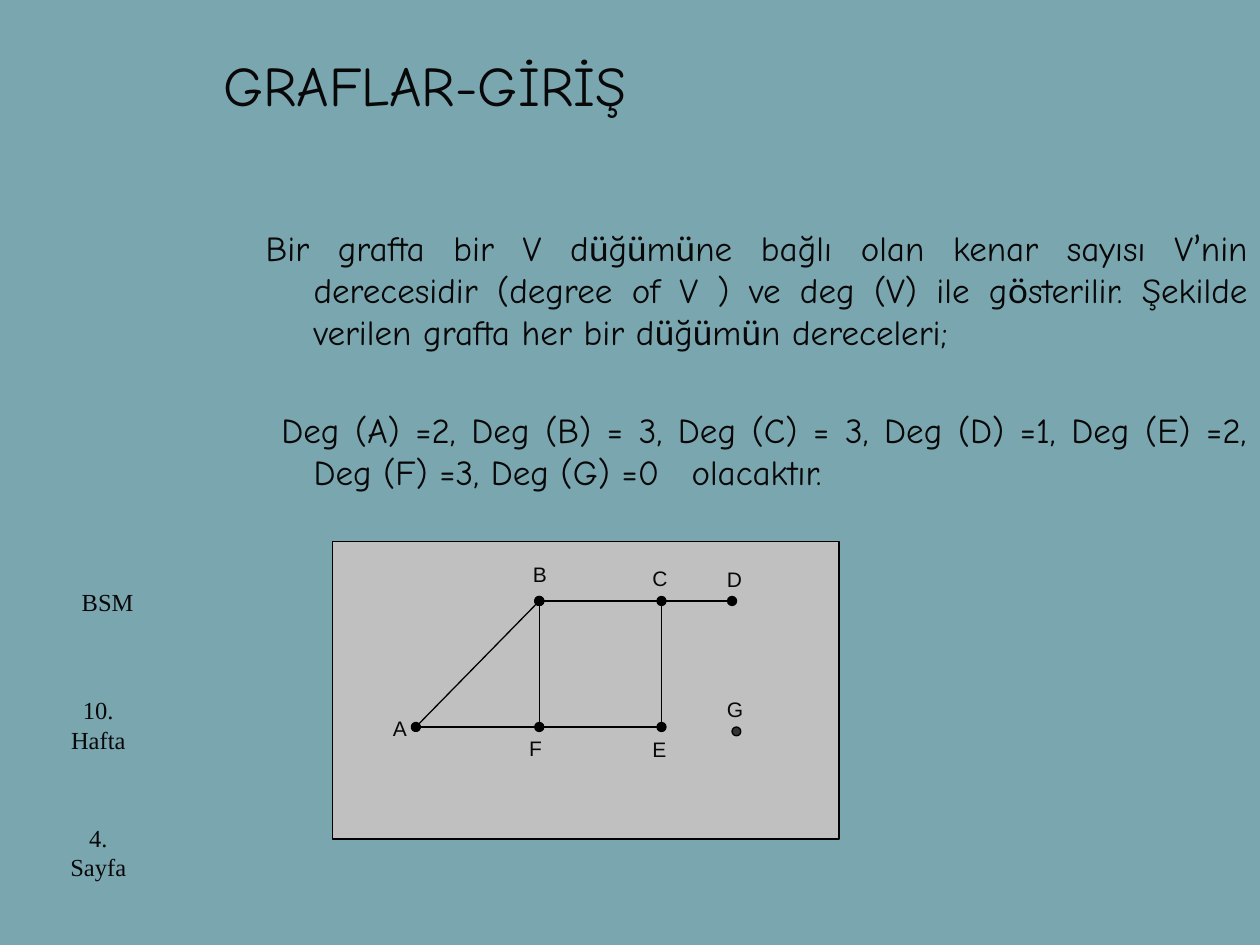
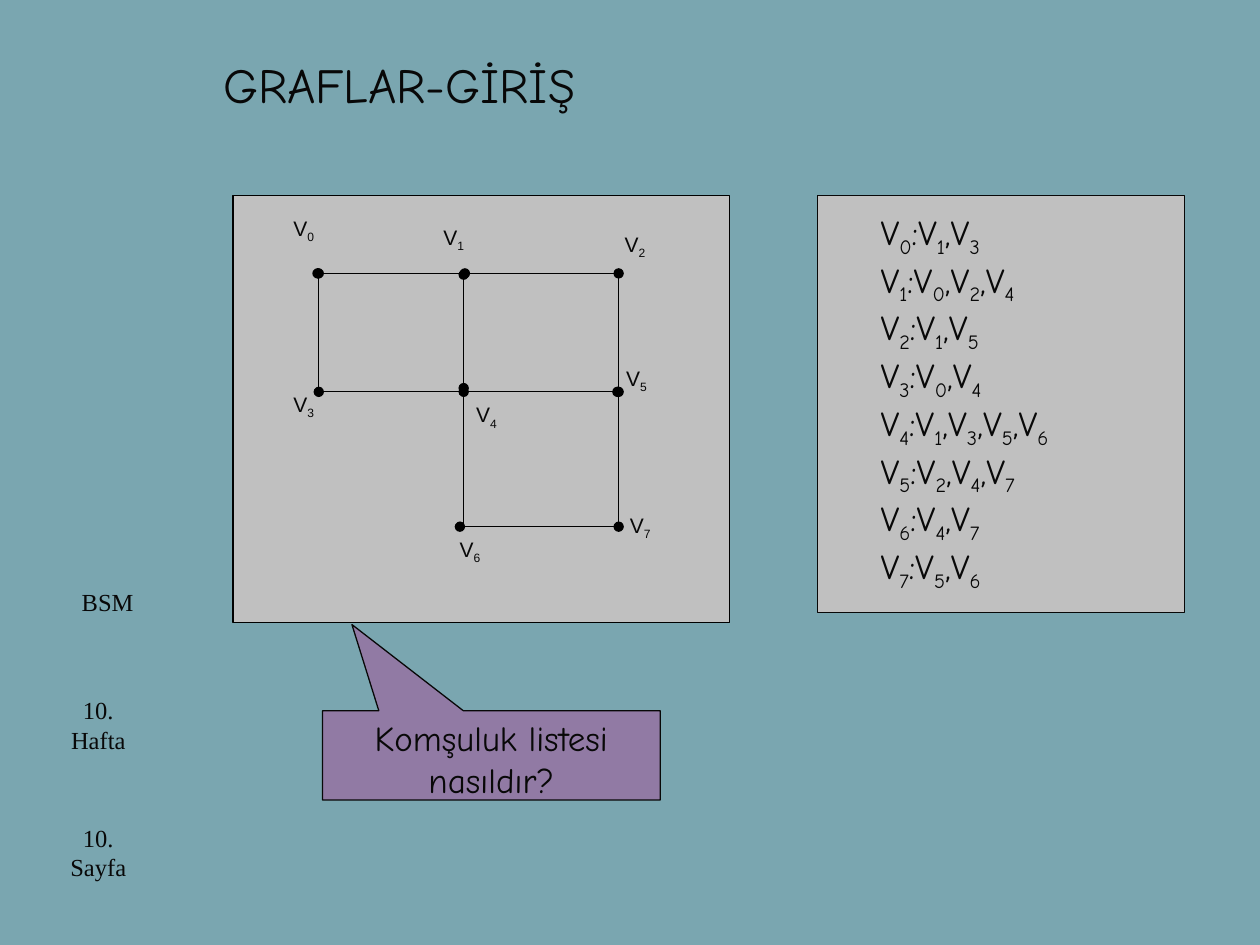
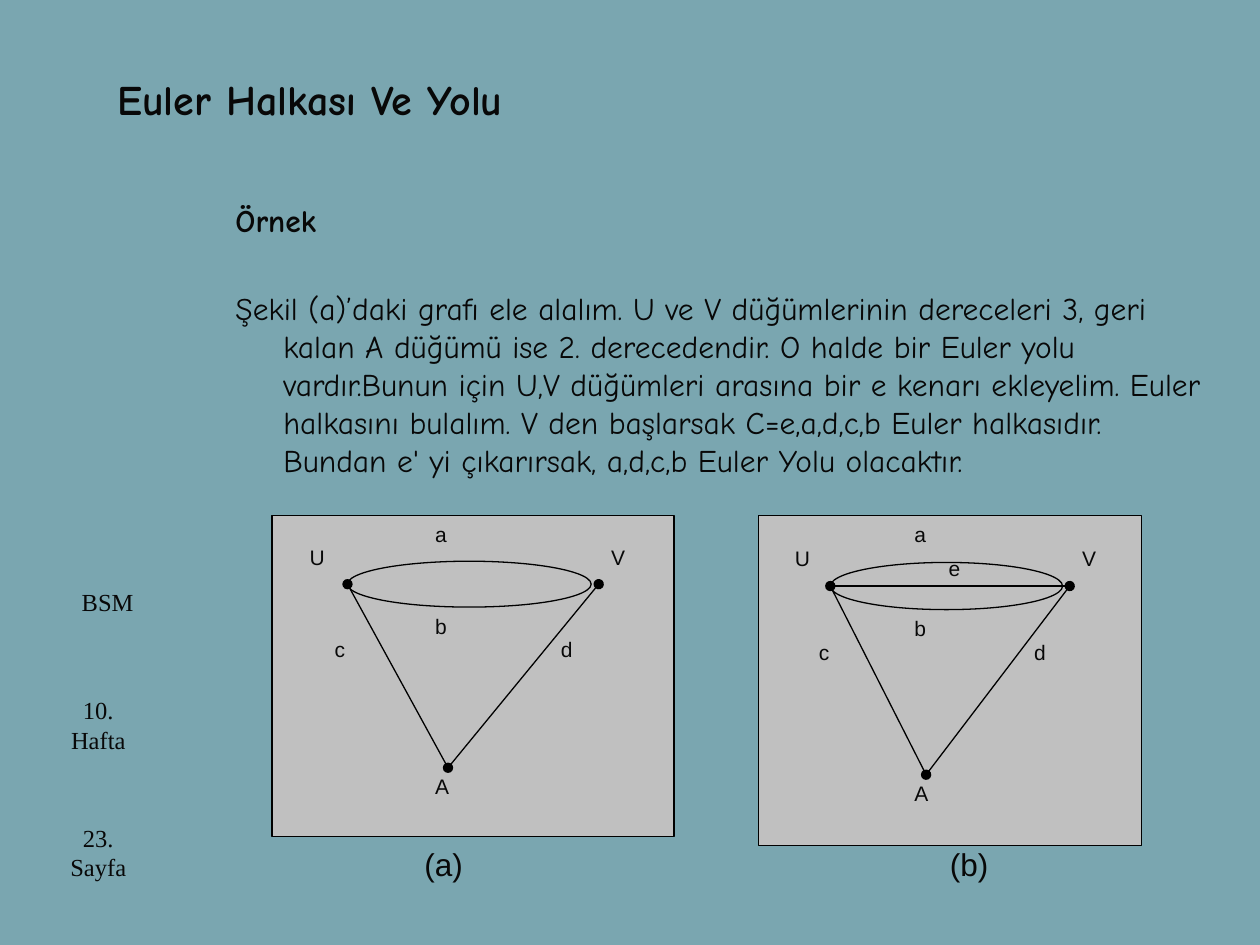
from itertools import groupby
from lxml import etree
from pptx import Presentation
from pptx import util as u
from pptx.dml.color import RGBColor
from pptx.enum import shapes as es, text as et
from pptx.oxml.ns import qn

# Shared style
BACK, INK, BLACK, GREY, DARK, PURPLE = (
    "7AA6B0", "080808", "000000", "C0C0C0", "333333", "917AA4")
COMIC, LATO, ARIAL, TIMES = "Comic Neue", "Lato", "Arial", "Times New Roman"
LEFT, MID, JUST = et.PP_ALIGN.LEFT, et.PP_ALIGN.CENTER, et.PP_ALIGN.JUSTIFY
RECT, OVAL = es.MSO_SHAPE.RECTANGLE, es.MSO_SHAPE.OVAL
WEEK = "10. Hafta"
HEAD = (1.67, 0.08, 8.07, 1.17)

# Slide 1: degrees
DEGREES = [
    "Bir grafta bir V düğümüne bağlı olan kenar sayısı V’nin derecesidir "
    "(degree of V ) ve deg (V) ile gösterilir. Şekilde verilen grafta her bir "
    "düğümün dereceleri;",
    " Deg (A) =2, Deg (B) = 3, Deg (C) = 3, Deg (D) =1, Deg (E) =2, "
    "Deg (F) =3, Deg (G) =0\tolacaktır."]
NODES = {"A": (3.3, 5.77), "B": (4.28, 4.77), "C": (5.25, 4.77),
         "D": (5.81, 4.77), "E": (5.25, 5.77), "F": (4.28, 5.77)}
EDGES = [("BC", "head tail"), ("CD", "tail"), ("CE", ""), ("EF", "head tail"),
         ("FB", ""), ("BA", "head tail"), ("AF", "")]
NAMES = {"A": (3.02, 5.63), "B": (4.13, 4.41), "C": (5.08, 4.44),
         "D": (5.67, 4.45), "E": (5.08, 5.8), "F": (4.1, 5.79),
         "G": (5.67, 5.48)}

# Slide 2: neighbour lists
LINKS = [
    ((2.52, 2.17), (3.69, 2.17), "head"), ((3.69, 2.17), (4.91, 2.17), "head"),
    ((4.91, 2.17), (4.91, 3.11), "head"), ((4.91, 3.11), (4.91, 4.18), "head"),
    ((3.68, 2.18), (3.68, 3.14), "head"), ((4.9, 3.11), (3.68, 3.11), "head"),
    ((3.68, 3.08), (3.68, 4.18), "head"),
    ((3.65, 4.18), (4.91, 4.18), "head tail"),
    ((2.53, 2.17), (2.53, 3.14), "head"),
    ((3.68, 3.11), (2.53, 3.11), "head tail")]
TAGS = [(2.23, 1.66), (3.42, 1.73), (4.86, 1.79), (2.23, 3.06),
        (3.68, 3.14), (4.87, 2.85), (3.55, 4.21), (4.9, 4.02)]
NEAR = ["13", "024", "15", "04", "1356", "247", "47", "56"]

# Slide 3: Euler circuit; figures sit on an 8 by 7 grid
EULER = ("Şekil (a)’daki grafı ele alalım. U ve V düğümlerinin dereceleri 3, "
         "geri kalan A düğümü ise 2. derecedendir. O halde bir Euler yolu "
         "vardır.Bunun için U,V düğümleri arasına bir e kenarı ekleyelim. "
         "Euler halkasını bulalım. V den başlarsak C=e,a,d,c,b Euler "
         "halkasıdır. Bundan e' yi çıkarırsak, a,d,c,b Euler Yolu olacaktır.")
FIGS = [("(a)", (2.16, 4.09, 3.19, 2.55), 3.27, False),
        ("(b)", (6.02, 4.09, 3.04, 2.62), 7.44, True)]
MARKS = {"A": (3, 5.5), "U": (0.5, 0.5), "V": (6.5, 0.5), "a": (3, 0),
         "c": (1, 2.5), "d": (5.5, 2.5), "b": (3, 2)}
U_PT, V_PT, A_PT = (1.5, 1.5), (6.5, 1.5), (3.5, 5.5)


def hue(code):
    return RGBColor.from_string(code)


def inch(vals):
    return [u.Inches(v) for v in vals]


def write(para, words, size, font, bold=False, sub=False, mix=False):
    """Add runs; sub lowers digits, mix sets ü, ö and ’ in the second font."""
    def kind(ch):
        return (sub and ch.isdigit(), mix and ch in "üö’")
    for (low, alt), part in groupby(words, kind):
        run = para.add_run()
        run.text = "".join(part)
        run.font.size, run.font.bold = u.Pt(size), bold
        run.font.name = LATO if alt else font
        run.font.color.rgb = hue(INK)
        if low:
            run.font._element.set("baseline", "-25000")


def label(where, at, words, size=12, font=ARIAL, align=LEFT, wrap=True, **kw):
    frame = where.add_textbox(*inch(at)).text_frame
    frame.word_wrap = wrap
    para = frame.paragraphs[0]
    para.alignment = align
    write(para, words, size, font, **kw)
    return frame


def hang(para, tab=None):
    props = para._p.get_or_add_pPr()
    props.set("marL", str(u.Inches(0.38)))
    props.set("indent", str(-u.Inches(0.38)))
    if tab:
        stops = etree.SubElement(props, qn("a:tabLst"))
        etree.SubElement(stops, qn("a:tab"), pos=str(u.Inches(tab)), algn="l")


def shape(where, kind, at, fill=GREY, edge=BLACK):
    item = where.add_shape(kind, *inch(at))
    item.shadow.inherit = False
    item.fill.solid()
    item.fill.fore_color.rgb = hue(fill)
    item.line.color.rgb = hue(edge)
    item.line.width = u.Pt(0.75)
    return item


def link(where, start, end, dots=""):
    item = where.add_connector(es.MSO_CONNECTOR.STRAIGHT, *inch(start + end))
    item.line.color.rgb = hue(BLACK)
    item.line.width = u.Pt(0.75)
    line = item.line._get_or_add_ln()
    for side in dots.split():
        etree.SubElement(line, qn(f"a:{side}End"), type="oval")
    etree.SubElement(item._element.spPr, qn("a:effectLst"))


def start(deck, title, size, page, at=HEAD, bold=False):
    """New slide with its title and the side labels."""
    slide = deck.slides.add_slide(deck.slide_layouts[5])
    head = slide.shapes.title
    head.left, head.top, head.width, head.height = inch(at)
    frame = head.text_frame
    frame.auto_size = et.MSO_AUTO_SIZE.NONE
    frame.vertical_anchor = et.MSO_ANCHOR.MIDDLE
    frame.paragraphs[0].alignment = LEFT
    write(frame.paragraphs[0], title, size, COMIC, bold)
    label(slide.shapes, (0.55, 4.61, 0.62, 0.34), "BSM", 14, TIMES)
    for y, high, words in [(5.47, 0.7, WEEK), (6.48, 0.62, f"{page}. Sayfa")]:
        label(slide.shapes, (0.39, y, 0.78, high), words, 14, TIMES, MID)
    return slide.shapes


def board(where, at, edge=BLACK):
    group = where.add_group_shape().shapes
    shape(group, RECT, at, edge=edge)
    return group


def degrees(deck):
    page = start(deck, "GRAFLAR-GİRİŞ", 32, 4)
    frame = label(page, (2.01, 1.75, 7.99, 2.4), DEGREES[0], 20, COMIC, JUST,
                  mix=True)
    hang(frame.paragraphs[0])
    para = frame.add_paragraph()
    hang(para, tab=3.21)
    para.alignment, para.space_before = JUST, u.Pt(32)
    write(para, DEGREES[1], 20, COMIC)
    graph = board(page, (2.64, 4.3, 4.02, 2.36))
    for (one, two), dots in EDGES:
        link(graph, NODES[one], NODES[two], dots)
    shape(graph, OVAL, (5.81, 5.77, 0.07, 0.07), DARK)
    for name, spot in NAMES.items():
        label(graph, spot + (0.55, 0.38), name)


def lists(deck):
    page = start(deck, "GRAFLAR-GİRİŞ", 28, 10)
    graph = board(page, (1.85, 1.55, 3.94, 3.39))
    for one, two, dots in LINKS:
        link(graph, one, two, dots)
    for num, spot in enumerate(TAGS):
        label(graph, spot + (0.58, 0.56), f"V{num}", sub=True)

    # Question callout
    ask = shape(page, es.MSO_SHAPE.RECTANGULAR_CALLOUT,
                (2.56, 5.64, 2.68, 0.71), PURPLE, INK)
    ask.adjustments[0], ask.adjustments[1] = -0.413, -1.463
    frame = ask.text_frame
    frame.vertical_anchor = et.MSO_ANCHOR.TOP
    frame.paragraphs[0].alignment = MID
    write(frame.paragraphs[0], "Komşuluk listesi nasıldır?", 20, COMIC)

    # Neighbours of each node
    panel = board(page, (6.49, 1.55, 2.91, 3.31), INK)
    rows = [f"V{num}:" + ",".join("V" + n for n in near)
            for num, near in enumerate(NEAR)]
    frame = label(panel, (6.89, 1.62, 2.76, 3.23), rows[0], 20, COMIC, sub=True)
    for row in rows[1:]:
        write(frame.add_paragraph(), row, 20, COMIC, sub=True)


def euler(deck):
    page = start(deck, "Euler Halkası Ve Yolu", 24, 23,
                 (0.83, 0.53, 3.67, 0.5), True)
    frame = label(page, (1.77, 1.55, 7.95, 2.4), "Örnek", 18, COMIC, bold=True)
    para = frame.add_paragraph()
    para.space_before = u.Pt(28.6)
    write(para, EULER, 18, COMIC)
    for para in frame.paragraphs:
        hang(para)
    for name, area, x, extra in FIGS:
        left, top, wide, high = area
        dx, dy = wide / 8, high / 7

        def spot(col, row):
            return (left + col * dx, top + row * dy)

        graph = board(page, area)
        shape(graph, OVAL, spot(1.5, 1) + (4.85 * dx, dy))
        link(graph, spot(*A_PT), spot(*V_PT), "tail")
        link(graph, spot(*U_PT), spot(*A_PT), "head tail")
        marks = dict(MARKS)
        if extra:
            link(graph, spot(*U_PT), spot(*V_PT))
            marks["e"] = (3.71, 0.72)
        for mark, cell in marks.items():
            label(graph, spot(*cell) + (2 * dx, 2 * dy), mark)
        label(page, (x, 6.66, 0.51, 0.4), name, 18, wrap=False)


def main():
    deck = Presentation()
    deck.slide_width, deck.slide_height = inch((10, 7.5))
    fill = deck.slide_master.background.fill
    fill.solid()
    fill.fore_color.rgb = hue(BACK)
    degrees(deck)
    lists(deck)
    euler(deck)
    deck.save("out.pptx")


if __name__ == "__main__":
    main()
